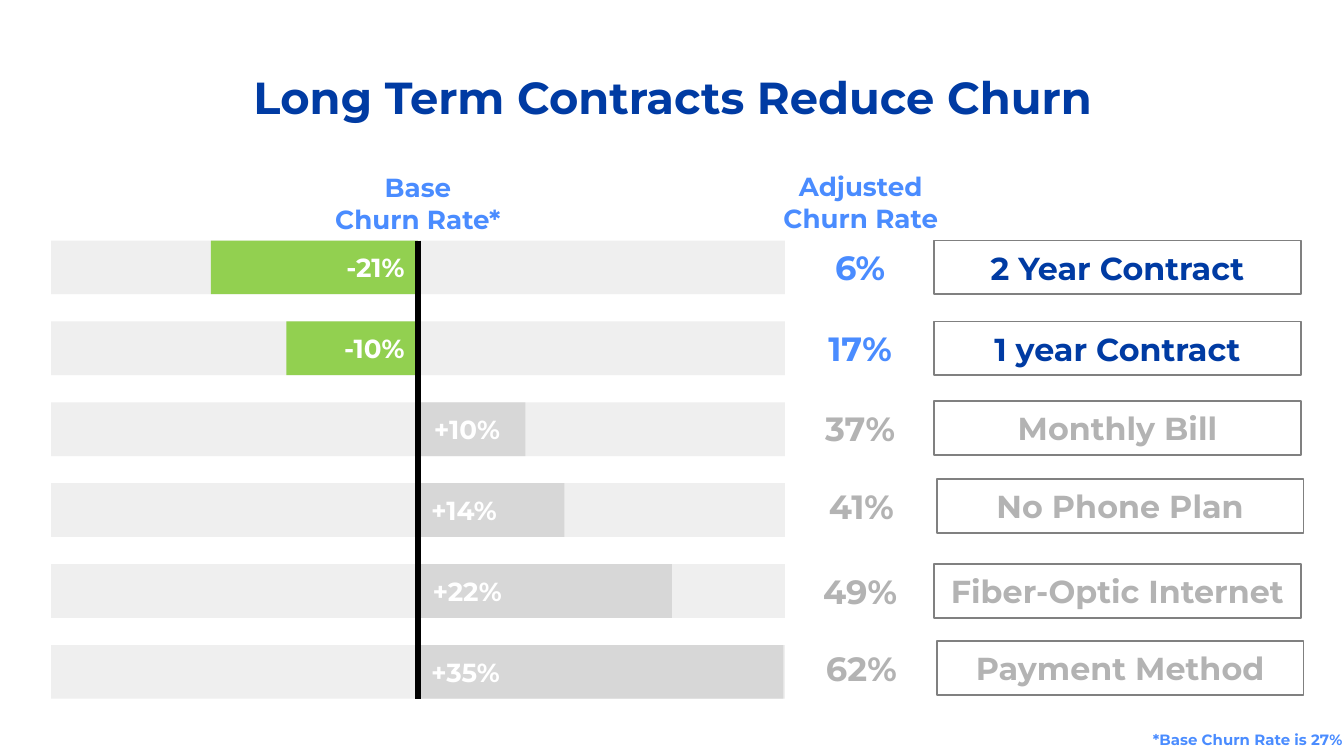
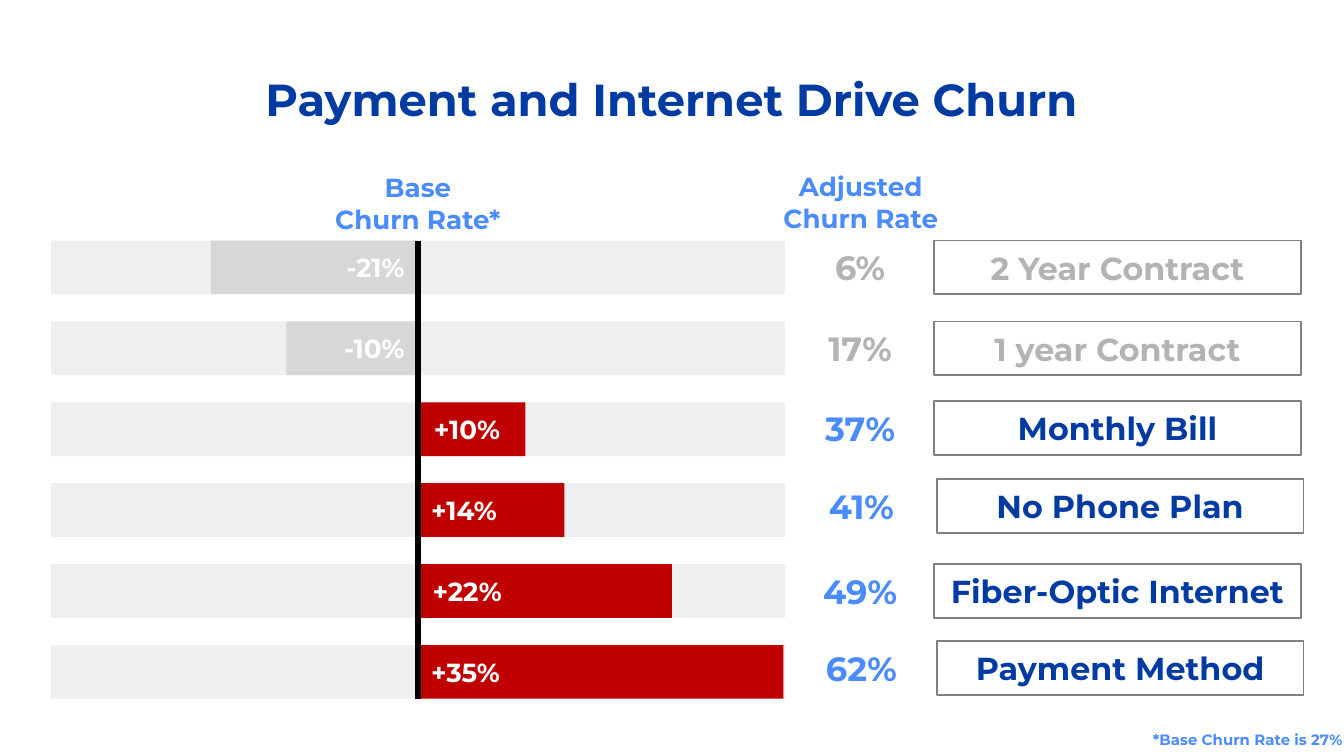
from lxml.etree import SubElement
from pptx import Presentation
from pptx.dml.color import RGBColor
from pptx.enum.shapes import MSO_CONNECTOR, MSO_SHAPE
from pptx.enum.text import MSO_ANCHOR, MSO_AUTO_SIZE, PP_ALIGN
from pptx.oxml.ns import qn
from pptx.util import Inches, Pt

NAVY = RGBColor(0x00, 0x3B, 0xA3)
SKY = RGBColor(0x4A, 0x8C, 0xFF)
GREEN = RGBColor(0x92, 0xD0, 0x50)
RED = RGBColor(0xC0, 0x00, 0x00)
TRACK = RGBColor(0xEF, 0xEF, 0xEF)
MUTED_BAR = RGBColor(0xD7, 0xD7, 0xD7)
MUTED_TEXT = RGBColor(0xB3, 0xB3, 0xB3)
BORDER = RGBColor(0x80, 0x80, 0x80)
WHITE = RGBColor(0xFF, 0xFF, 0xFF)
BLACK = RGBColor(0x00, 0x00, 0x00)

CELL = Inches(0.1)
COLS, ROWS = 100, 56.25
FIRST_ROW, PITCH, BAR_H = 17.9, 6.02, 4
TRACK_X, HALF_W = 3.8, 27.3
BASE_X = TRACK_X + HALF_W
RATE_X, RATE_W, LABEL_X = 59, 10, 69.5

FACTORS = [
    ("2 Year Contract", "6%", "-21%", 15.7, 15.4, 0, 0),
    ("1 year Contract", "17%", "-10%", 21.3, 9.8, 0, 0),
    ("Monthly Bill", "37%", "+10%", 31.3, 7.8, 0, -0.1),
    ("No Phone Plan", "41%", "+14%", 31.1, 10.9, 0.2, -0.3),
    ("Fiber-Optic Internet", "49%", "+22%", 31.2, 18.8, 0, 0),
    ("Payment Method", "62%", "+35%", 31.1, 27.2, 0.2, -0.3),
]

SLIDES = [
    ("Long Term Contracts Reduce Churn", (7.9, 4.2, 84.3, 6.1), "-", GREEN),
    ("Payment and Internet Drive Churn", (6.3, 4.3, 87.3, 6.1), "+", RED),
]


class Deck:
    font = "Montserrat"

    def __init__(self):
        self.prs = Presentation()
        self.prs.slide_width = int(COLS * CELL)
        self.prs.slide_height = int(ROWS * CELL)
        self.s = None

    def grid(self, *cells):
        return [int(c * CELL) for c in cells]

    def new_slide(self, title, place):
        self.s = self.prs.slides.add_slide(self.prs.slide_layouts[5])
        sp = self.s.shapes.title
        sp.left, sp.top, sp.width, sp.height = self.grid(*place)
        self.put_text(sp, title, 24, NAVY, anchor=MSO_ANCHOR.TOP)

    def put_text(self, sp, text, size, color, align=PP_ALIGN.CENTER,
                 anchor=MSO_ANCHOR.MIDDLE, inset=0.1, fit=MSO_AUTO_SIZE.NONE):
        tf = sp.text_frame
        frame = {
            "word_wrap": True, "auto_size": fit, "vertical_anchor": anchor,
            "margin_left": Inches(0.1), "margin_right": Inches(0.1),
            "margin_top": Inches(inset), "margin_bottom": Inches(inset),
        }
        for name, value in frame.items():
            setattr(tf, name, value)
        for i, line in enumerate(text.split("\n")):
            p = tf.add_paragraph() if i else tf.paragraphs[0]
            p.alignment = align
            r = p.add_run()
            r.text = line
            style = {"name": self.font, "size": Pt(size), "bold": True}
            for name, value in style.items():
                setattr(r.font, name, value)
            r.font.color.rgb = color

    def text(self, place, text, size, color, **style):
        sp = self.s.shapes.add_textbox(*self.grid(*place))
        self.put_text(sp, text, size, color, **style)

    def box(self, place, fill=None, border=None):
        sp = self.s.shapes.add_shape(MSO_SHAPE.RECTANGLE, *self.grid(*place))
        sp.shadow.inherit = False
        if fill is None:
            sp.fill.background()
        else:
            sp.fill.solid()
            sp.fill.fore_color.rgb = fill
        if border is None:
            sp.line.fill.background()
        else:
            sp.line.color.rgb = border
            sp.line.width = Pt(1)
        return sp

    def line(self, ends, color, width):
        sp = self.s.shapes.add_connector(MSO_CONNECTOR.STRAIGHT, *self.grid(*ends))
        sp.line.color.rgb = color
        sp.line.width = Pt(width)
        SubElement(sp._element.spPr, qn("a:effectLst"))

    def factor(self, y, factor, active, accent):
        label, rate, change, x, w, dx, dy = factor
        for left in (TRACK_X, BASE_X):
            self.box((left, y, HALF_W, BAR_H), TRACK)
        bar = self.box((x, y, w, BAR_H), accent if active else MUTED_BAR)
        side = PP_ALIGN.RIGHT if change.startswith("-") else PP_ALIGN.LEFT
        self.put_text(bar, change, 14, WHITE, align=side)
        self.text((RATE_X + dx / 2, y + dy, RATE_W, BAR_H), rate, 18,
                  SKY if active else MUTED_TEXT)
        tag = self.box((LABEL_X + dx, y + dy, HALF_W, BAR_H), border=BORDER)
        self.put_text(tag, label, 17, NAVY if active else MUTED_TEXT)

    def churn_slide(self, title, place, sign, accent):
        self.new_slide(title, place)
        for i, factor in enumerate(FACTORS):
            self.factor(FIRST_ROW + i * PITCH, factor,
                        factor[2].startswith(sign), accent)
        bottom = FIRST_ROW + (len(FACTORS) - 1) * PITCH + BAR_H
        self.line((BASE_X, FIRST_ROW, BASE_X, bottom), BLACK, 3)
        self.text((16.3, 12.8, 29.6, 4.6), "Base\nChurn Rate*", 14, SKY)
        top = {"anchor": MSO_ANCHOR.TOP, "inset": 0.05,
               "fit": MSO_AUTO_SIZE.SHAPE_TO_FIT_TEXT}
        self.text((55.8, 12.2, 16.5, 5.7), "Adjusted Churn Rate", 14, SKY, **top)
        self.text((70.9, 53.9, 30, 2.4), "*Base Churn Rate is 27%", 8, SKY,
                  align=PP_ALIGN.RIGHT, **top)


def main():
    deck = Deck()
    for slide in SLIDES:
        deck.churn_slide(*slide)
    deck.prs.save("out.pptx")


if __name__ == "__main__":
    main()
